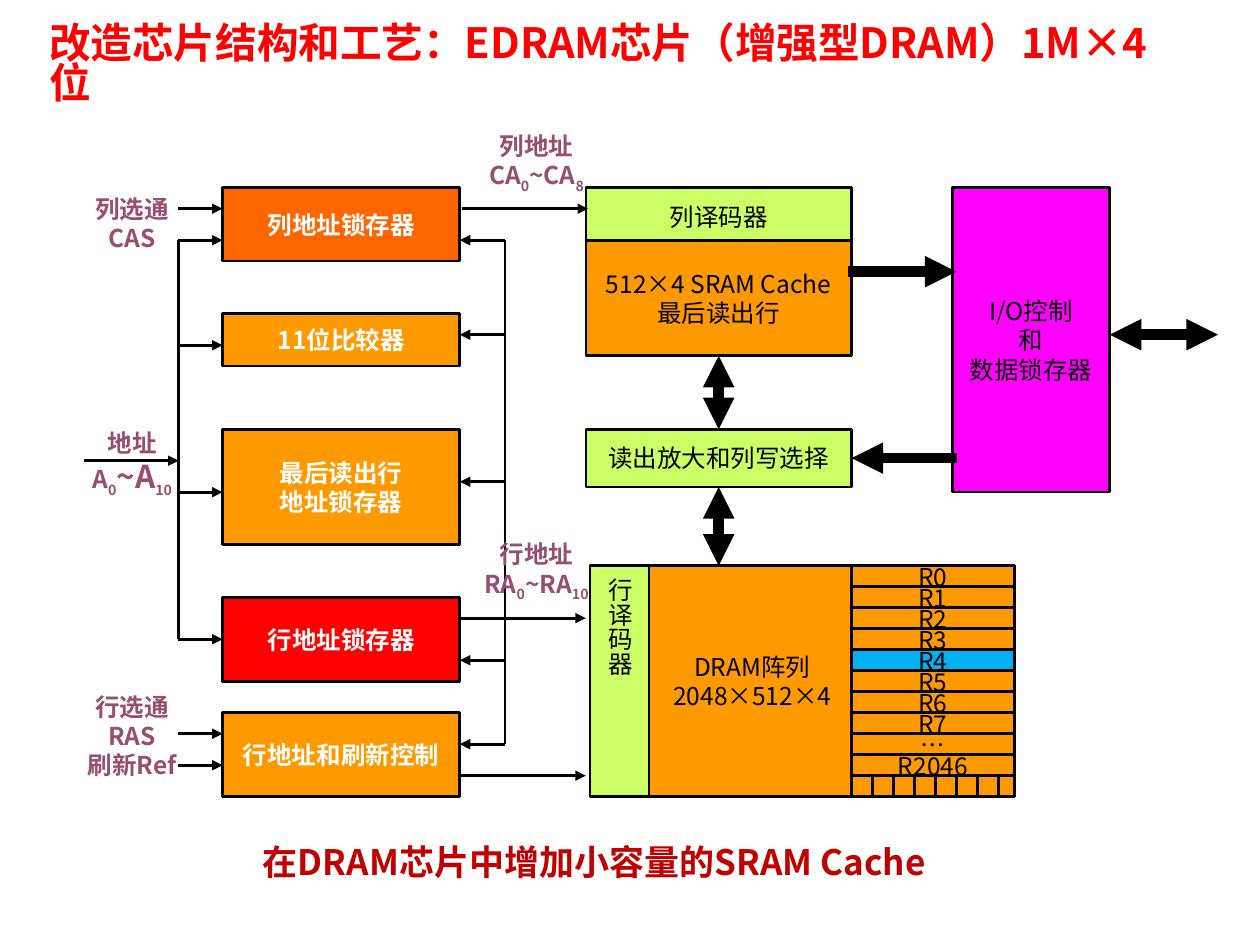
from pptx import Presentation
from pptx.dml.color import RGBColor
from pptx.enum.shapes import MSO_CONNECTOR, MSO_SHAPE
from pptx.enum.text import MSO_ANCHOR, MSO_AUTO_SIZE, PP_ALIGN
from pptx.oxml.ns import qn
from pptx.util import Inches, Pt
from lxml.etree import SubElement

COLORS = {
    "title": "FF0000", "caption": "C00000", "label": "954F72",
    "black": "000000", "white": "FFFFFF", "orange": "FF9900",
    "dark_orange": "FF6600", "red": "FF0000", "lime": "CCFF66",
    "magenta": "FF00FF", "blue": "00B0F0",
}
ADDRESS_BUS, LATCH_LEFT, LATCH_RIGHT, RETURN_BUS = 17, 21.2, 43.8, 48.1
MEMORY_LEFT, MEMORY_WIDTH, MEMORY_RIGHT = 55.8, 25.3, 81.1
IO_LEFT, IO_WIDTH = 90.7, 15
LATCH_WIDTH = LATCH_RIGHT - LATCH_LEFT
MEMORY_CENTER = MEMORY_LEFT + MEMORY_WIDTH / 2


class Diagram:
    """Draws on one slide, on a grid of twelfths of an inch that starts at the first box row."""

    font = "Noto Sans CJK SC"
    unit = 1 / 12
    top = 1.49

    def __init__(self, presentation):
        self.slide = presentation.slides.add_slide(presentation.slide_layouts[5])

    def x(self, column):
        return Inches(column * self.unit)

    def y(self, row):
        return Inches(self.top + row * self.unit)

    def add_text(self, frame, paragraphs, color, size=14, bold=False,
                 align=PP_ALIGN.CENTER, spacing=None):
        for number, content in enumerate(paragraphs):
            paragraph = frame.paragraphs[0] if number == 0 else frame.add_paragraph()
            paragraph.alignment = align
            paragraph.line_spacing = spacing
            runs = content if isinstance(content, tuple) else (content,)
            for index, item in enumerate(runs):
                text, points = item if isinstance(item, tuple) else (item, size)
                run = paragraph.add_run()
                run.text = text
                run.font.name = self.font
                run.font.size = Pt(points)
                run.font.bold = bold
                run.font.color.rgb = RGBColor.from_string(COLORS[color])
                properties = run._r.get_or_add_rPr()
                SubElement(properties, qn("a:ea")).set("typeface", self.font)
                if index % 2:
                    properties.set("baseline", "-25000")

    def title(self, text):
        shape = self.slide.shapes.title
        shape.left, shape.top, shape.width, shape.height = (
            Inches(length) for length in (0.29, 0.19, 8.92, 0.68))
        frame = shape.text_frame
        frame.auto_size = MSO_AUTO_SIZE.NONE
        frame.vertical_anchor = MSO_ANCHOR.MIDDLE
        self.add_text(frame, [text], "title", 23.8, True, PP_ALIGN.LEFT, 0.8)

    def label(self, column, row, width, height, paragraphs, color="label", size=14, spacing=None):
        shape = self.slide.shapes.add_textbox(
            self.x(column), self.y(row), self.x(width), self.x(height))
        frame = shape.text_frame
        frame.word_wrap = True
        frame.auto_size = MSO_AUTO_SIZE.SHAPE_TO_FIT_TEXT
        self.add_text(frame, paragraphs, color, size, True, spacing=spacing)
        return shape

    def box(self, column, row, width, height, fill, paragraphs=(),
            color="black", bold=False, vertical=False):
        shape = self.slide.shapes.add_shape(
            MSO_SHAPE.RECTANGLE, self.x(column), self.y(row), self.x(width), self.x(height))
        shape.shadow.inherit = False
        shape.fill.solid()
        shape.fill.fore_color.rgb = RGBColor.from_string(COLORS[fill])
        shape.line.color.rgb = RGBColor.from_string(COLORS["black"])
        shape.line.width = Pt(1.5)
        frame = shape.text_frame
        frame.word_wrap = False
        frame.vertical_anchor = MSO_ANCHOR.MIDDLE
        if vertical:
            frame._txBody.bodyPr.set("vert", "eaVert")
        self.add_text(frame, paragraphs, color, bold=bold)
        return shape

    def line(self, start, end, width=1.5, arrows=("tailEnd",), begin=None, finish=None):
        connector = self.slide.shapes.add_connector(
            MSO_CONNECTOR.STRAIGHT, self.x(start[0]), self.y(start[1]),
            self.x(end[0]), self.y(end[1]))
        if begin:
            connector.begin_connect(*begin)
        if finish:
            connector.end_connect(*finish)
        connector.line.color.rgb = RGBColor.from_string(COLORS["black"])
        connector.line.width = Pt(width)
        properties = connector._element.spPr
        outline = properties.find(qn("a:ln"))
        for arrow in arrows:
            SubElement(outline, qn("a:" + arrow)).set("type", "triangle")
        SubElement(properties, qn("a:effectLst"))


def draw_latches(diagram):
    latches = [
        (0, 7, "dark_orange", ["列地址锁存器"]),
        (12, 5, "orange", ["11位比较器"]),
        (23, 11, "orange", ["最后读出行", "地址锁存器"]),
        (39, 8, "red", ["行地址锁存器"]),
        (50, 8, "orange", ["行地址和刷新控制"]),
    ]
    return {
        lines[0]: diagram.box(LATCH_LEFT, row, LATCH_WIDTH, height, fill, lines, "white", True)
        for row, height, fill, lines in latches
    }


def draw_address_lines(diagram, latches):
    for row in (2, 5, 15, 29, 52, 55):
        diagram.line((ADDRESS_BUS, row), (LATCH_LEFT, row))
    diagram.line((ADDRESS_BUS, 43), (LATCH_LEFT, 43), finish=(latches["行地址锁存器"], 1))
    diagram.line((ADDRESS_BUS, 5), (ADDRESS_BUS, 43), arrows=())
    diagram.line((8, 26), (ADDRESS_BUS, 26))
    for row in (5, 14, 28, 45, 53):
        diagram.line((RETURN_BUS, row), (LATCH_RIGHT, row))
    diagram.line((RETURN_BUS, 53), (RETURN_BUS, 5), arrows=())
    diagram.line((44, 2), (56, 2))
    for row in (41, 56):
        diagram.line((LATCH_RIGHT, row), (MEMORY_LEFT, row))


def draw_labels(diagram):
    diagram.label(7.1, 0, 11, 6.8, ["列选通 CAS"])
    diagram.label(7.1, 47.4, 11, 9.7, ["行选通 RAS", "刷新Ref"])
    diagram.label(6.1, 22.3, 13, 7.7, ["地址", ("A", "0", ("~A", 18), "10")])
    diagram.label(43.1, -6, 16, 6.8, ["列地址", ("CA", "0", "~CA", "8")])
    diagram.label(43.1, 32.9, 16, 6.8, ["行地址", ("RA", "0", "~RA", "10")])


def draw_memory(diagram):
    double = ("headEnd", "tailEnd")
    sense = diagram.box(MEMORY_LEFT, 23, MEMORY_WIDTH, 5.5, "lime", ["读出放大和列写选择"])
    diagram.box(IO_LEFT, 0, IO_WIDTH, 29, "magenta", ["I/O控制", "和", "数据锁存器"])
    diagram.box(MEMORY_LEFT, 0, MEMORY_WIDTH, 5.5, "lime", ["列译码器"])
    cache = diagram.box(MEMORY_LEFT, 5, MEMORY_WIDTH, 11, "orange",
                        ["512×4 SRAM Cache", "最后读出行"])
    diagram.line((80.8, 8), (91.1, 8), 6)
    diagram.line((91.1, 25.75), (MEMORY_RIGHT, 25.75), 6, finish=(sense, 3))
    diagram.line((116, 14), (IO_LEFT + IO_WIDTH, 14), 6, double)
    diagram.line((MEMORY_CENTER, 23), (MEMORY_CENTER, 16), 6, double, (sense, 0), (cache, 2))
    diagram.line((MEMORY_CENTER, 36), (MEMORY_CENTER, 28.5), 6, double, finish=(sense, 2))

    diagram.box(61.8, 36, 19.7, 22, "orange", ["DRAM阵列", "2048×512×4"])
    diagram.box(56.2, 36, 5.6, 22, "lime", ["行译码器"], vertical=True)
    names = [f"R{number}" for number in range(8)] + ["…", "R2046"]
    for index, name in enumerate(names):
        fill = "blue" if name == "R4" else "orange"
        diagram.box(MEMORY_RIGHT, 36 + 2 * index, 15.5, 2, fill, [name])
    diagram.box(MEMORY_RIGHT, 56, 15.5, 2, "orange")
    for index in range(7):
        diagram.box(MEMORY_RIGHT + 2 * index, 56, 2, 2, "orange")


def main():
    presentation = Presentation()
    presentation.slide_width, presentation.slide_height = Inches(10), Inches(7.5)
    diagram = Diagram(presentation)
    diagram.title("改造芯片结构和工艺：EDRAM芯片（增强型DRAM）1M×4位")
    caption = diagram.label(3.1, 62, 107, 4.8, ["在DRAM芯片中增加小容量的SRAM Cache"],
                            "caption", 20, 0.9)
    caption.text_frame.paragraphs[0].space_before = Pt(4)
    latches = draw_latches(diagram)
    draw_memory(diagram)
    draw_address_lines(diagram, latches)
    draw_labels(diagram)
    presentation.save("out.pptx")


if __name__ == "__main__":
    main()
